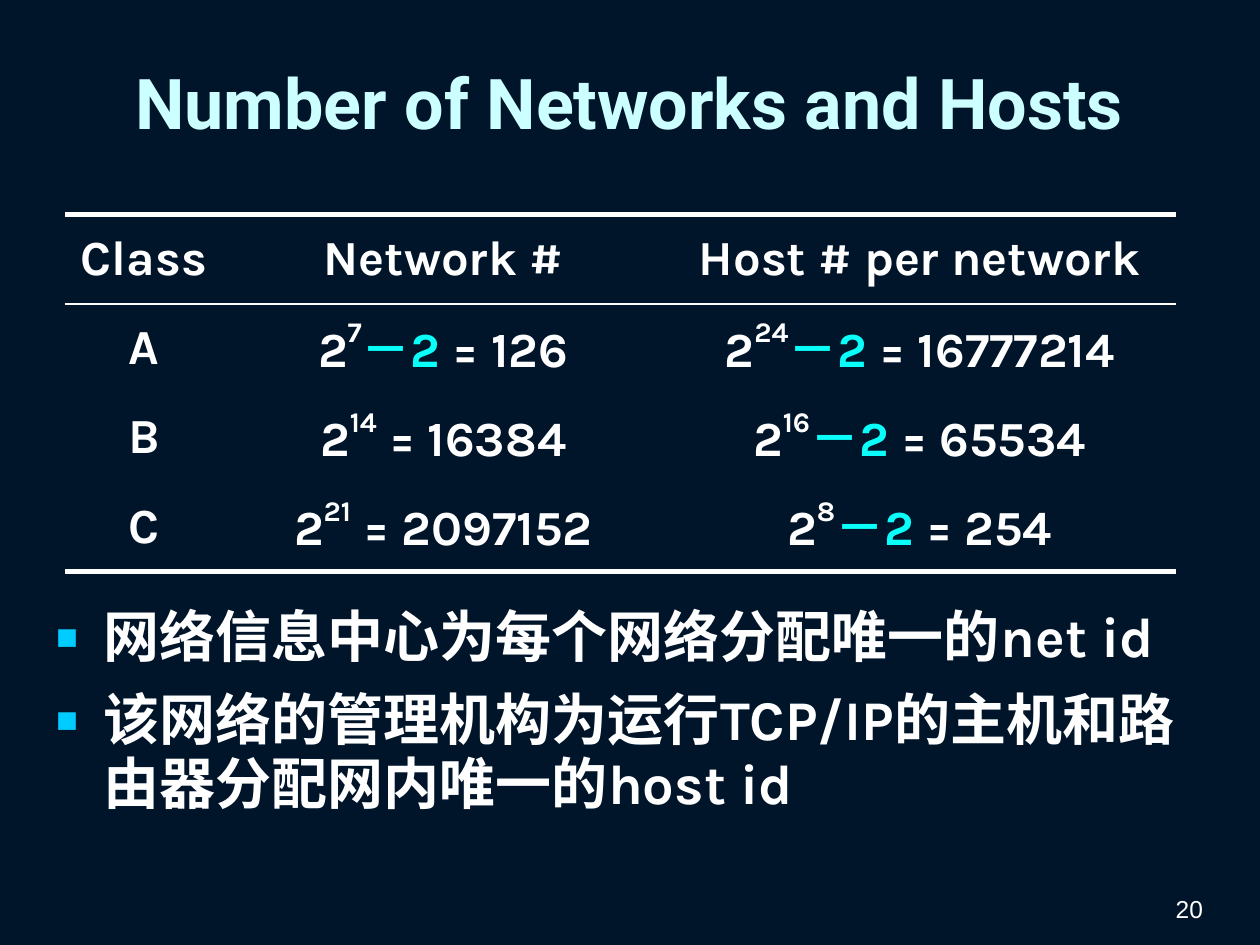
import pptx
import pptx.util
import pptx.dml.color
import pptx.enum.text
import pptx.oxml
import pptx.oxml.ns

Pt = pptx.util.Pt
ALIGN = pptx.enum.text.PP_ALIGN
ANCHOR = pptx.enum.text.MSO_ANCHOR
SPACE = pptx.oxml.ns.nsdecls("a")
HUES = {"back": "00152A", "title": "CCFFFF", "text": "FFFFFF",
        "minus": "09FFF9", "mark": "00CCFF"}


def write(para, text, font="Karla", size=28, hue="text", bold=True, base=0):
    run = para.add_run()
    run.text = text
    run.font.name = font
    run.font.size = Pt(size)
    run.font.bold = bold
    run.font.color.rgb = pptx.dml.color.RGBColor.from_string(HUES[hue])
    props = run._r.get_or_add_rPr()
    latin = props.find(pptx.oxml.ns.qn("a:latin"))
    latin.addnext(pptx.oxml.parse_xml(f'<a:ea {SPACE} typeface="{font}"/>'))
    if base:
        props.set("baseline", str(base * 1000))


class Deck:
    def __init__(self):
        self.file = pptx.Presentation()
        self.file.slide_width = Pt(720)
        self.file.slide_height = Pt(540)
        self.slide = self.file.slides.add_slide(self.file.slide_layouts[5])
        fill = self.slide.background.fill
        fill.solid()
        fill.fore_color.rgb = pptx.dml.color.RGBColor.from_string(HUES["back"])

    def title(self, text, box):
        shape = self.slide.shapes.title
        shape.left, shape.top, shape.width, shape.height = map(Pt, box)
        frame = shape.text_frame
        frame.auto_size = pptx.enum.text.MSO_AUTO_SIZE.NONE
        frame.vertical_anchor = ANCHOR.MIDDLE
        para = frame.paragraphs[0]
        para.alignment = ALIGN.CENTER
        write(para, text, font="Roboto", size=40, hue="title")

    def frame(self, box, anchor=ANCHOR.TOP):
        frame = self.slide.shapes.add_textbox(*map(Pt, box)).text_frame
        frame.word_wrap = True
        frame.vertical_anchor = anchor
        return frame

    def list(self, items, box):
        frame = self.frame(box)
        for spot, text in enumerate(items):
            para = frame.add_paragraph() if spot else frame.paragraphs[0]
            props = para._p.get_or_add_pPr()
            props.set("marL", str(Pt(27)))
            props.set("indent", str(-Pt(27)))
            for mark in (f'<a:buClr {SPACE}><a:srgbClr val="{HUES["mark"]}"/></a:buClr>',
                         f'<a:buSzPct {SPACE} val="65000"/>',
                         f'<a:buFont {SPACE} typeface="Arial"/>',
                         f'<a:buChar {SPACE} char="■"/>'):
                props.append(pptx.oxml.parse_xml(mark))
            para.line_spacing = 0.95
            if spot:
                para.space_before = Pt(11.2)
            write(para, text, size=32)

    def number(self, text, box):
        para = self.frame(box, ANCHOR.BOTTOM).paragraphs[0]
        para.alignment = ALIGN.RIGHT
        write(para, text, font="Arial", size=14, bold=False)

    def rule(self, cell, **sides):
        props = cell._tc.get_or_add_tcPr()
        for side in "LRTB":
            width = sides.get(side, 0)
            paint = (f'<a:solidFill><a:srgbClr val="{HUES["text"]}"/></a:solidFill>'
                     if width else "<a:noFill/>")
            props.append(pptx.oxml.parse_xml(
                f'<a:ln{side} {SPACE} w="{Pt(width)}">{paint}</a:ln{side}>'))

    def table(self, rows, left, top, widths, height):
        table = self.slide.shapes.add_table(
            len(rows), len(widths), Pt(left), Pt(top),
            Pt(sum(widths)), Pt(height * len(rows))).table
        table.first_row = table.horz_banding = False
        for col, width in zip(table.columns, widths):
            col.width = Pt(width)
        lines = [3, 1.5] + [0] * (len(rows) - 2) + [3]
        for down, row in enumerate(rows):
            table.rows[down].height = Pt(height)
            for over, parts in enumerate(row):
                cell = table.cell(down, over)
                self.rule(cell, T=lines[down], B=lines[down + 1])
                cell.fill.background()
                cell.vertical_anchor = ANCHOR.MIDDLE
                para = cell.text_frame.paragraphs[0]
                para.alignment = ALIGN.CENTER
                for text, style in parts:
                    write(para, text, **style)


def plain(text):
    return [(text, {})]


def power(top, total, minus=True):
    parts = [("2", {}), (top, {"base": 50})]
    if minus:
        parts.append(("－2", {"hue": "minus"}))
    return parts + [(f" = {total}", {})]


def main():
    deck = Deck()
    deck.title("Number of Networks and Hosts", (25, 9.5, 669, 96.5))
    deck.table([
        [plain("Class"), plain("Network #"), plain("Host # per network")],
        [plain("A"), power("7", "126"), power("24", "16777214")],
        [plain("B"), power("14", "16384", False), power("16", "65534")],
        [plain("C"), power("21", "2097152", False), power("8", "254")],
    ], 37, 122.5, (90.5, 251.5, 293), 51)
    deck.list(["网络信息中心为每个网络分配唯一的net id",
               "该网络的管理机构为运行TCP/IP的主机和路由器分配网内唯一的host id"],
              (25, 343, 669, 154))
    deck.number("20", (526.5, 497, 168, 34))
    deck.file.save("out.pptx")


if __name__ == "__main__":
    main()
